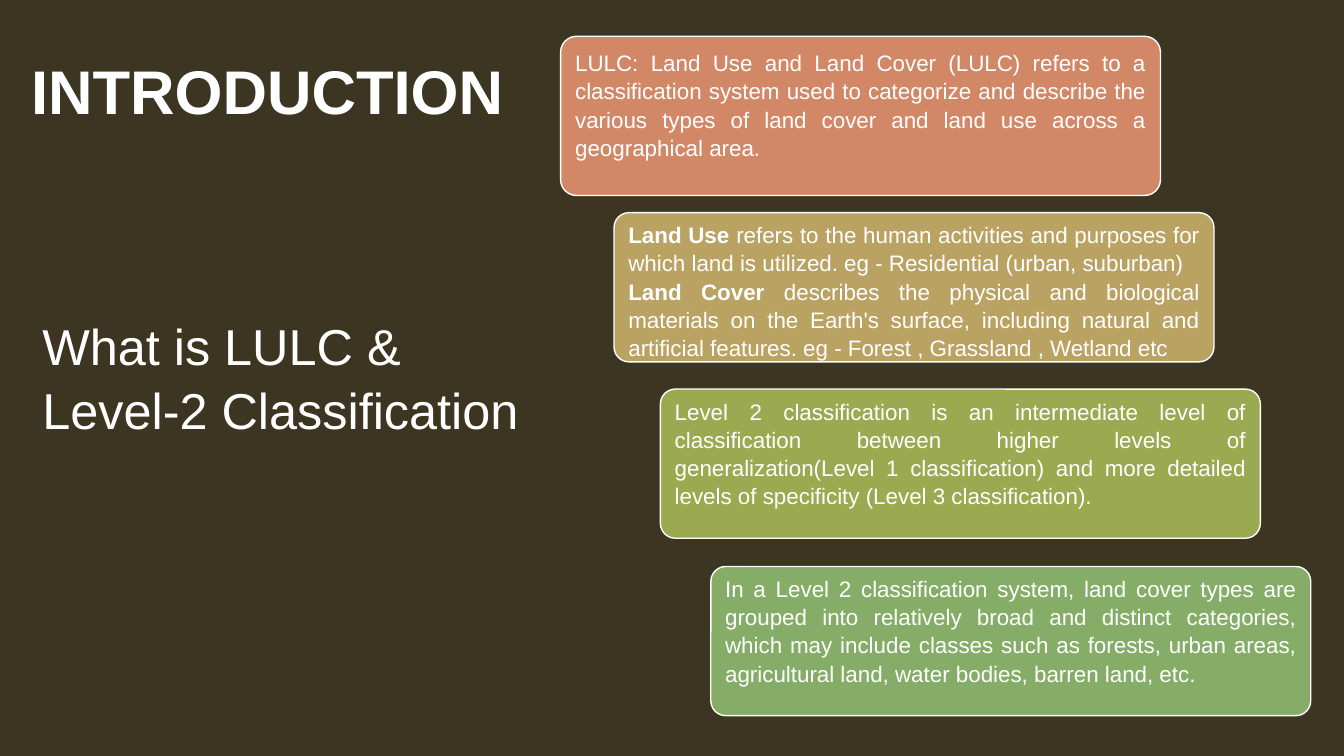
from pptx import Presentation
from pptx import util as u
from pptx.dml import color
from pptx.enum import shapes, text

PX = u.Inches(1) // 100
FONT = "Arial"
COLORS = {
    "ground": "3C3522",
    "white": "FFFFFF",
    "coral": "D28866",
    "sand": "BAA262",
    "olive": "9BA951",
    "green": "85AD67",
}
CARD_WIDTH = 595
CARDS = [
    (556, 36, 158, 7, "coral", [[
        ("LULC: Land Use and Land Cover (LULC) refers to a classification system used to "
         "categorize and describe the various types of land cover and land use across a "
         "geographical area.", False)]]),
    (609, 211, 148, 3, "sand", [
        [("Land Use ", True),
         ("refers to the human activities and purposes for which land is utilized. "
          "eg - Residential (urban, suburban)", False)],
        [("Land Cover", True),
         (" describes the physical and biological materials on the Earth's surface, "
          "including natural and artificial features. "
          "eg - Forest , Grassland , Wetland etc", False)]]),
    (655, 386, 148, 3, "olive", [[
        ("Level 2 classification is an intermediate level of classification between higher "
         "levels of generalization(Level 1 classification) and more detailed levels of "
         "specificity (Level 3 classification).", False)]]),
    (705, 562, 148, 3, "green", [[
        ("In a Level 2 classification system, land cover types are grouped into relatively "
         "broad and distinct categories, which may include classes such as forests, urban "
         "areas, agricultural land, water bodies, barren land, etc.", False)]]),
]


def paint(fill, name):
    """Give a fill one solid colour."""
    fill.solid()
    fill.fore_color.rgb = color.RGBColor.from_string(COLORS[name])


def write(frame, paragraphs, size, align, anchor, insets):
    """Write paragraphs of (words, bold) runs into a text frame."""
    frame.word_wrap = True
    frame.vertical_anchor = anchor
    frame.margin_left, frame.margin_top, frame.margin_right, frame.margin_bottom = (
        inset * PX for inset in insets)
    for index, runs in enumerate(paragraphs):
        para = frame.add_paragraph() if index else frame.paragraphs[0]
        para.alignment = align
        para.line_spacing = 1.05
        for words, bold in runs:
            span = para.add_run()
            span.text = words
            span.font.name = FONT
            span.font.size = u.Pt(size)
            span.font.bold = bold
            paint(span.font.fill, "white")


def add_heading(page, left, top, width, height, lines, size, bold, inset):
    """Place left-aligned heading lines, centred vertically in their box."""
    box = page.shapes.add_textbox(left * PX, top * PX, width * PX, height * PX)
    write(box.text_frame, [[(line, bold)] for line in lines], size,
          text.PP_ALIGN.LEFT, text.MSO_ANCHOR.MIDDLE, [inset] * 4)


def add_card(page, left, top, width, height, inset_top, fill, paragraphs):
    """Place a rounded card with justified text."""
    card = page.shapes.add_shape(shapes.MSO_SHAPE.ROUNDED_RECTANGLE,
                                 left * PX, top * PX, width * PX, height * PX)
    card.adjustments[0] = 0.1
    card.shadow.inherit = False
    paint(card.fill, fill)
    paint(card.line.fill, "white")
    card.line.width = u.Pt(1)
    write(card.text_frame, paragraphs, 16, text.PP_ALIGN.JUSTIFY,
          text.MSO_ANCHOR.TOP, (10, inset_top, 10, 0))


def main():
    """Build the introduction slide and save it."""
    deck = Presentation()
    deck.slide_width, deck.slide_height = 1333 * PX, 750 * PX
    page = deck.slides.add_slide(deck.slide_layouts[6])
    paint(page.background.fill, "ground")
    add_heading(page, 42, 267, 496, 212,
                ["What is LULC &", "Level-2 Classification"], 36, False, 0)
    for left, top, height, inset_top, fill, paragraphs in CARDS:
        add_card(page, left, top, CARD_WIDTH, height, inset_top, fill, paragraphs)
    add_heading(page, 21, 36, 490, 103, ["INTRODUCTION"], 44, True, 10)
    deck.save("out.pptx")


if __name__ == "__main__":
    main()
